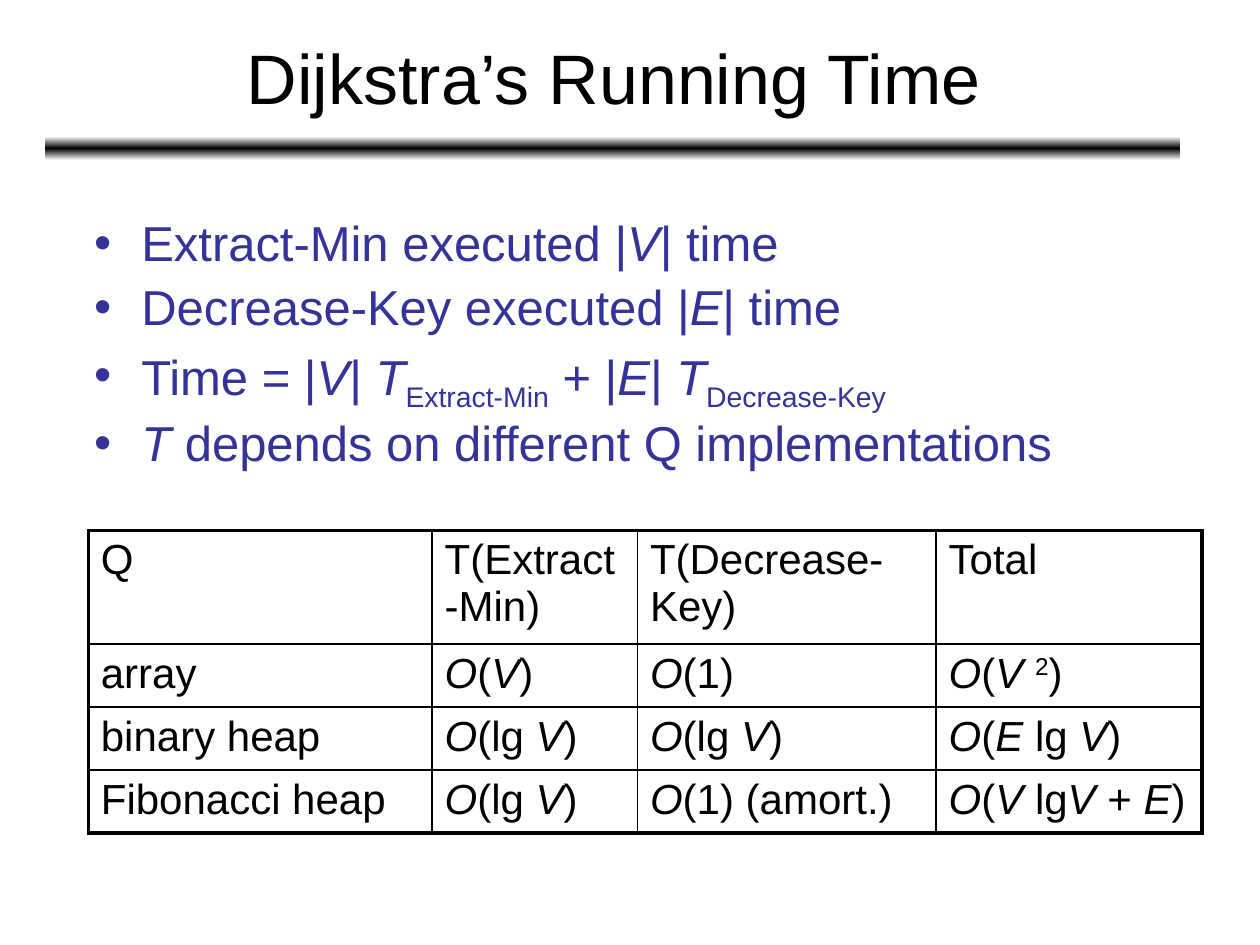
import copy
import pptx
import pptx.util
import pptx.dml.color
import pptx.enum.shapes
import pptx.enum.text
import pptx.oxml
import pptx.oxml.ns
from lxml import etree

Cm, Pt = pptx.util.Cm, pptx.util.Pt
RGB = pptx.dml.color.RGBColor
ALIGN = pptx.enum.text.PP_ALIGN
ANCHOR = pptx.enum.text.MSO_ANCHOR
BLACK, WHITE, BLUE = RGB(0, 0, 0), RGB(255, 255, 255), RGB(0x33, 0x33, 0x99)
FONT = "Arial"

# Marks: *italic*, _subscript_, ^superscript^
TITLE = "Dijkstra’s Running Time"
POINTS = [
    "Extract-Min executed |*V*| time",
    "Decrease-Key executed |*E*| time",
    "Time = |*V*| *T*_Extract-Min_ + |*E*| *T*_Decrease-Key_",
    "*T* depends on different Q implementations",
]
ROWS = [
    ["Q", "T(Extract-Min)", "T(Decrease-Key)", "Total"],
    ["array", "*Ο*(*V*)", "*Ο*(1)", "*Ο*(*V *^2^)"],
    ["binary heap", "*Ο*(lg* V*)", "*Ο*(lg *V*)", "*Ο*(*E* lg *V*)"],
    ["Fibonacci heap", "*Ο*(lg* V*)", "*Ο*(1) (amort.)", "*Ο*(*V *lg*V* + *E*)"],
]
WIDTHS = [6.93, 4.14, 6.02, 5.36]
HEIGHTS = [2.29, 1.27, 1.27, 1.27]
THIN, THICK = 1, 2.25
SHIFT = {"_": "-25000", "^": "30000"}


def add(node, tag, **attrs):
    return etree.SubElement(node, pptx.oxml.ns.qn("a:" + tag), attrs)


def split(line):
    """Yield (text, active mark) pairs of a marked line."""
    text, mark = "", ""
    for char in line:
        if char in "*_^":
            if text:
                yield text, mark
            text, mark = "", "" if mark else char
        else:
            text += char
    if text:
        yield text, mark


def write(frame, lines, size, color=BLACK, align=ALIGN.LEFT, gap=0, pitch=None, bullet=None):
    frame.word_wrap = True
    for i, line in enumerate(lines):
        para = frame.add_paragraph() if i else frame.paragraphs[0]
        para.alignment, para.line_spacing = align, pitch
        para.space_before = Pt(gap)
        if bullet:
            props = para._p.get_or_add_pPr()
            props.set("marL", str(Cm(0.95)))
            props.set("indent", str(-Cm(0.95)))
            add(props, "buFont", typeface=FONT)
            add(props, "buChar", char=bullet)
        for text, mark in split(line):
            run = para.add_run()
            run.text = text
            font = run.font
            font.name, font.size, font.italic = FONT, Pt(size), mark == "*"
            font.color.rgb = color
            if mark in SHIFT:
                run._r.get_or_add_rPr().set("baseline", SHIFT[mark])


def border(cell, widths):
    """Draw left, right, top and bottom edges; they precede the cell's fill."""
    props = cell._tc.get_or_add_tcPr()
    for i, (side, width) in enumerate(zip("LRTB", widths)):
        edge = add(props, "ln" + side, w=str(Pt(width)))
        add(add(edge, "solidFill"), "srgbClr", val=str(BLACK))
        props.insert(i, edge)


def rule(slide):
    bar = slide.shapes.add_shape(
        pptx.enum.shapes.MSO_SHAPE.ROUNDED_RECTANGLE, Cm(0.91), Cm(2.75), Cm(22.89), Cm(0.48))
    bar.shadow.inherit = False
    bar.line.fill.background()
    bar.fill.gradient()
    bar.fill.gradient_angle = 90
    stops = bar._element.xpath(".//a:gsLst")[0]
    stops.append(copy.deepcopy(stops[0]))
    for stop, place, color in zip(bar.fill.gradient_stops, (0, 0.5, 1), (WHITE, BLACK, WHITE)):
        stop.position, stop.color.rgb = place, color


def grid(slide):
    rows, cols = len(ROWS), len(WIDTHS)
    table = slide.shapes.add_table(
        rows, cols, Cm(1.78), Cm(10.69), Cm(sum(WIDTHS)), Cm(sum(HEIGHTS))).table
    table.first_row = table.horz_banding = False
    for col, width in zip(table.columns, WIDTHS):
        col.width = Cm(width)
    for r, line in enumerate(ROWS):
        table.rows[r].height = Cm(HEIGHTS[r])
        for c, text in enumerate(line):
            cell = table.cell(r, c)
            cell.fill.background()
            write(cell.text_frame, [text], 24, gap=5)
            outer = (c == 0, c == cols - 1, r == 0, r == rows - 1)
            border(cell, [THICK if out else THIN for out in outer])


def main():
    deck = pptx.Presentation()
    deck.slide_width, deck.slide_height = Cm(25.4), Cm(19.05)
    slide = deck.slides.add_slide(deck.slide_layouts[6])
    rule(slide)
    head = slide.shapes.add_textbox(Cm(0.94), Cm(0.28), Cm(22.86), Cm(2.51)).text_frame
    head.vertical_anchor = ANCHOR.MIDDLE
    write(head, [TITLE], 40, align=ALIGN.CENTER)
    body = slide.shapes.add_textbox(Cm(1.65), Cm(4.29), Cm(23.22), Cm(4.85)).text_frame
    write(body, POINTS, 28, color=BLUE, gap=6.5, pitch=0.9, bullet="•")
    grid(slide)
    deck.save("out.pptx")


if __name__ == "__main__":
    main()
